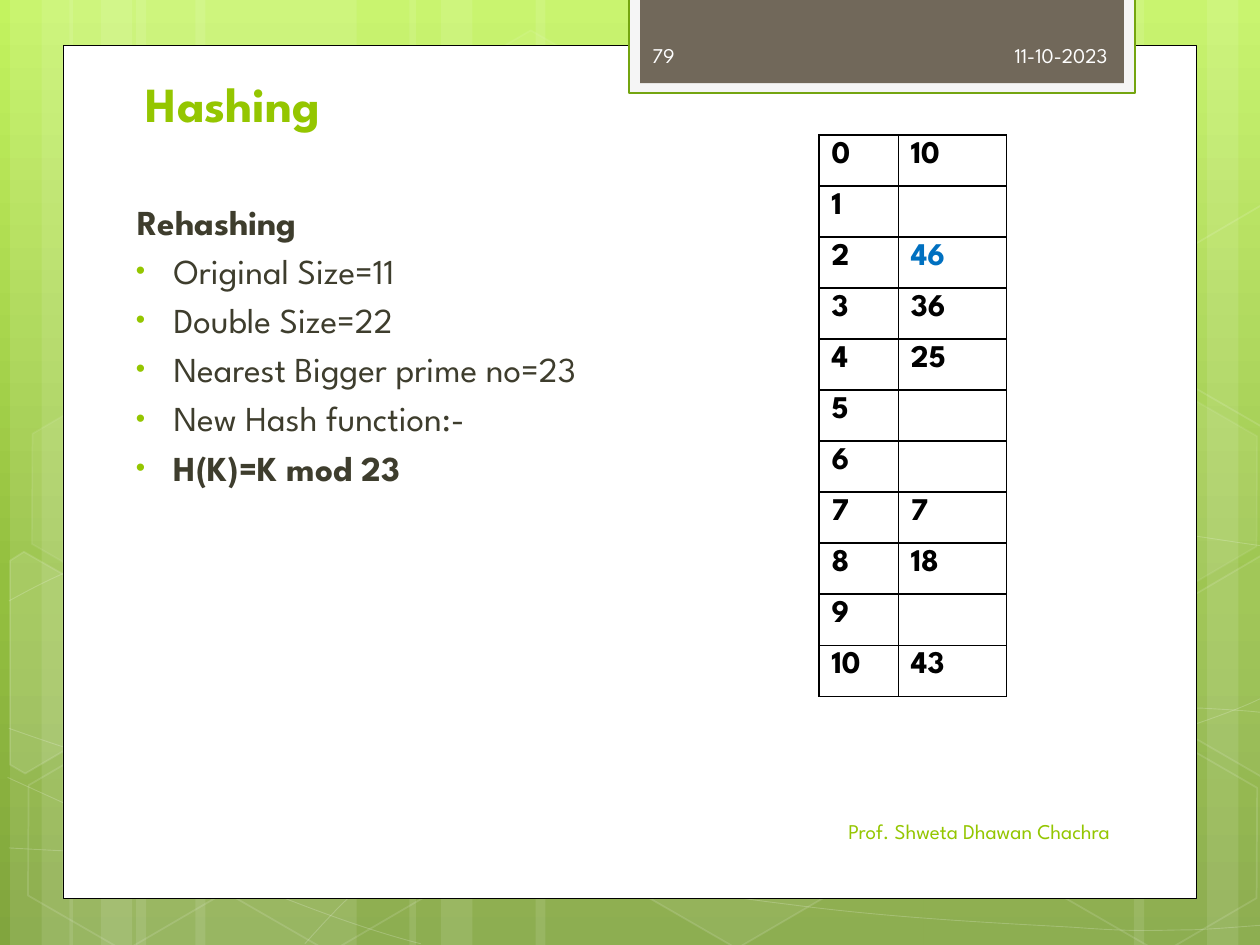
from copy import deepcopy
from dataclasses import dataclass
from typing import NamedTuple, Optional

from lxml.etree import SubElement
from pptx import Presentation
from pptx.dml.color import RGBColor as RGB
from pptx.enum.shapes import MSO_SHAPE as SHAPE
from pptx.enum.text import MSO_ANCHOR as ANCHOR, PP_ALIGN as ALIGN
from pptx.oxml.ns import qn
from pptx.util import Pt

EMU_PER_PX = 9144


def px(n: int) -> int:
    return n * EMU_PER_PX


@dataclass(frozen=True)
class Theme:
    font: str = "League Spartan"
    white: str = "FFFFFF"
    black: str = "000000"
    frame: str = "F5F5F5"
    frame_line: str = "74A510"
    tab: str = "71685A"
    tab_text: str = "FEFEFE"
    accent: str = "94C600"
    ink: str = "3E3D2D"
    blue: str = "0070C0"
    background: tuple = ((0, "C3F35F"), (0.62, "93BF3F"), (1, "81A53E"))
    title_size: int = 28
    body_size: int = 20
    cell_size: int = 18
    small_size: int = 12


T = Theme()


class Box(NamedTuple):
    x: int
    y: int
    w: int
    h: int


class Paint(NamedTuple):
    fill: Optional[str] = None
    fill_alpha: int = 100
    line: Optional[str] = None
    line_width: float = 1
    line_alpha: int = 100


class Hexagon(NamedTuple):
    x: int
    y: int
    fill_alpha: int
    line_alpha: int


class Outline(NamedTuple):
    points: tuple
    fill_alpha: int


class Label(NamedTuple):
    text: str
    box: Box
    size: int
    color: str
    bold: bool = False
    align: ALIGN = ALIGN.LEFT
    anchor: ANCHOR = ANCHOR.MIDDLE


STRIPS = ((108, 175), (8, 50), (33, 83), (155, 175), (55, 50), (80, 83),
          (733, 175), (958, 50), (900, 83), (425, 308), (325, 50), (350, 83))
CURVES = (
    ((7, 673), (61, 676), (115, 679), (190, 678), (265, 677), (358, 675), (458, 665),
     (558, 655), (700, 636), (792, 617), (883, 598), (977, 568), (1007, 551)),
    ((7, 477), (36, 461), (65, 446), (121, 431), (178, 416), (259, 394), (347, 387),
     (436, 380), (544, 379), (654, 387), (764, 395), (947, 426), (1007, 434)),
    ((6, 617), (127, 672), (247, 727), (334, 749)),
    ((7, 578), (38, 589), (70, 600), (128, 616), (186, 631), (273, 656), (357, 673),
     (440, 690), (545, 708), (628, 718), (711, 729), (800, 733), (853, 736),
     (905, 740), (919, 738), (945, 738), (971, 737), (989, 735), (1007, 734)),
    ((242, 749), (260, 729), (278, 709), (302, 691), (326, 673), (360, 653), (388, 639),
     (416, 625), (433, 619), (470, 609), (506, 599), (573, 585), (608, 578),
     (644, 571), (649, 571), (680, 569), (711, 566), (760, 563), (794, 562),
     (829, 561), (886, 562), (886, 562), (908, 562), (931, 562), (953, 562),
     (971, 563), (988, 564), (997, 565), (1006, 566), (1003, 565), (1006, 566)),
)
HEXAGONS = (Hexagon(334, 36, 4, 8), Hexagon(497, 589, 6, 12), Hexagon(11, 591, 0, 12),
            Hexagon(14, 312, 7, 8), Hexagon(174, 592, 0, 12), Hexagon(834, 593, 0, 12),
            Hexagon(834, 314, 7, 8))
OUTLINES = (
    Outline(((8, 445), (19, 438), (96, 482), (95, 570), (20, 614), (8, 607)), 10),
    Outline(((926, 485), (1001, 441), (1009, 446), (1009, 613), (1002, 617), (926, 573)), 4),
    Outline(((926, 207), (1001, 163), (1010, 168), (1009, 335), (1002, 339), (926, 295)), 0),
)
PANELS = (
    (Box(50, 36, 900, 677), Paint(T.white, line=T.black, line_width=0.5)),
    (Box(499, -2, 402, 76), Paint(T.frame, line=T.frame_line, line_width=1.25)),
    (Box(508, -2, 384, 68), Paint(T.tab)),
)
LABELS = (
    Label("Hashing", Box(106, 52, 768, 58), T.title_size, T.accent, True, anchor=ANCHOR.BOTTOM),
    Label("11-10-2023", Box(656, 24, 233, 40), T.small_size, T.tab_text, align=ALIGN.RIGHT),
    Label("Prof. Shweta Dhawan Chachra", Box(508, 640, 383, 40), T.small_size, T.accent,
          align=ALIGN.RIGHT),
    Label("79", Box(508, 24, 146, 40), T.small_size, T.tab_text),
)
BULLETS = (("Original Size=11", False), ("Double Size=22", False),
           ("Nearest Bigger prime no=23", False), ("New Hash function:-", False),
           ("H(K)=K mod 23", True))
SLOTS = ("10", "", "46", "36", "25", "", "", "7", "18", "", "43")


def set_alpha(fill, percent: int) -> None:
    if percent < 100:
        color = fill._xPr.find(".//" + qn("a:srgbClr"))
        SubElement(color, qn("a:alpha"), val=str(percent * 1000))


def paint(sp, look: Paint) -> None:
    sp.shadow.inherit = False
    if look.fill and look.fill_alpha:
        sp.fill.solid()
        sp.fill.fore_color.rgb = RGB.from_string(look.fill)
        set_alpha(sp.fill, look.fill_alpha)
    else:
        sp.fill.background()
    if look.line:
        sp.line.color.rgb = RGB.from_string(look.line)
        sp.line.width = Pt(look.line_width)
        set_alpha(sp.line.fill, look.line_alpha)
    else:
        sp.line.fill.background()


def add_preset(s, kind: SHAPE, box: Box, look: Paint):
    sp = s.shapes.add_shape(kind, *map(px, box))
    paint(sp, look)
    return sp


def add_outline(s, points, look: Paint, close: bool):
    builder = s.shapes.build_freeform(*points[0], scale=EMU_PER_PX)
    builder.add_line_segments(points[1:], close=close)
    sp = builder.convert_to_shape()
    paint(sp, look)
    return sp


def add_curve(s, nodes) -> None:
    look = Paint(line=T.white, line_width=0.5, line_alpha=20)
    sp = add_outline(s, nodes, look, False)
    outline = sp._element.find(".//" + qn("a:path"))
    segments = outline.findall(qn("a:lnTo"))
    for i in range(0, len(segments), 3):
        bezier = SubElement(outline, qn("a:cubicBezTo"))
        for segment in segments[i:i + 3]:
            bezier.append(segment[0])
            outline.remove(segment)


def add_run(p, text: str, size: int, color: str, bold: bool = False) -> None:
    r = p.add_run()
    r.text = text
    r.font.name, r.font.size, r.font.bold = T.font, Pt(size), bold
    r.font.color.rgb = RGB.from_string(color)


def add_frame(s, box: Box, anchor: ANCHOR):
    tf = s.shapes.add_textbox(*map(px, box)).text_frame
    tf.word_wrap = True
    tf.vertical_anchor = anchor
    return tf


def add_label(s, label: Label) -> None:
    p = add_frame(s, label.box, label.anchor).paragraphs[0]
    p.alignment = label.align
    add_run(p, label.text, label.size, label.color, label.bold)


def add_body(s) -> None:
    tf = add_frame(s, Box(91, 154, 512, 475), ANCHOR.TOP)
    p = tf.paragraphs[0]
    p.space_before = Pt(4.1)
    p._p.get_or_add_pPr().set("marL", str(px(8)))
    add_run(p, "Rehashing", T.body_size, T.ink, True)
    for text, bold in BULLETS:
        p = tf.add_paragraph()
        p.space_before = Pt(4.1)
        pPr = p._p.get_or_add_pPr()
        pPr.set("marL", str(px(37)))
        pPr.set("indent", str(px(-30)))
        SubElement(SubElement(pPr, qn("a:buClr")), qn("a:srgbClr"), val=T.accent)
        SubElement(pPr, qn("a:buSzPct"), val="76000")
        SubElement(pPr, qn("a:buFont"), typeface="Arial")
        SubElement(pPr, qn("a:buChar"), char="•")
        add_run(p, text, T.body_size, T.ink, bold)


def add_borders(cell) -> None:
    tcPr = cell._tc.get_or_add_tcPr()
    for i, side in enumerate(("lnL", "lnR", "lnT", "lnB")):
        ln = tcPr.makeelement(qn("a:" + side), {"w": str(Pt(1))})
        SubElement(SubElement(ln, qn("a:solidFill")), qn("a:srgbClr"), val=T.black)
        tcPr.insert(i, ln)


def add_hash_table(s) -> None:
    table = s.shapes.add_table(len(SLOTS), 2, *map(px, Box(650, 107, 149, 446))).table
    table.first_row = table.horz_banding = False
    for column, width in zip(table.columns, (63, 86)):
        column.width = px(width)
    for i, key in enumerate(SLOTS):
        for j, text in enumerate((str(i), key)):
            cell = table.cell(i, j)
            cell.fill.background()
            add_borders(cell)
            if text:
                color = T.blue if text == "46" else T.black
                add_run(cell.text_frame.paragraphs[0], text, T.cell_size, color, True)


def set_background(s) -> None:
    fill = s.background.fill
    fill.gradient()
    fill.gradient_angle = 270
    stops = s.element.find(".//" + qn("a:gsLst"))
    stops.append(deepcopy(stops[0]))
    for stop, (position, color) in zip(fill.gradient_stops, T.background):
        stop.position = position
        stop.color.rgb = RGB.from_string(color)


def main() -> None:
    prs = Presentation()
    prs.slide_width, prs.slide_height = px(1000), px(750)
    s = prs.slides.add_slide(prs.slide_layouts[6])
    set_background(s)
    for x, width in STRIPS:
        add_preset(s, SHAPE.RECTANGLE, Box(x, 0, width, 750), Paint(T.white, 10))
    for nodes in CURVES:
        add_curve(s, nodes)
    for h in HEXAGONS:
        sp = add_preset(s, SHAPE.HEXAGON, Box(h.x, h.y, 175, 152),
                        Paint(T.white, h.fill_alpha, T.white, 1, h.line_alpha))
        sp.adjustments[0] = 0.285
        sp.rotation = 30
    for o in OUTLINES:
        add_outline(s, o.points, Paint(T.white, o.fill_alpha, T.white, 1, 12), True)
    for box, look in PANELS:
        add_preset(s, SHAPE.RECTANGLE, box, look)
    for label in LABELS:
        add_label(s, label)
    add_body(s)
    add_hash_table(s)
    prs.save("out.pptx")


if __name__ == "__main__":
    main()
